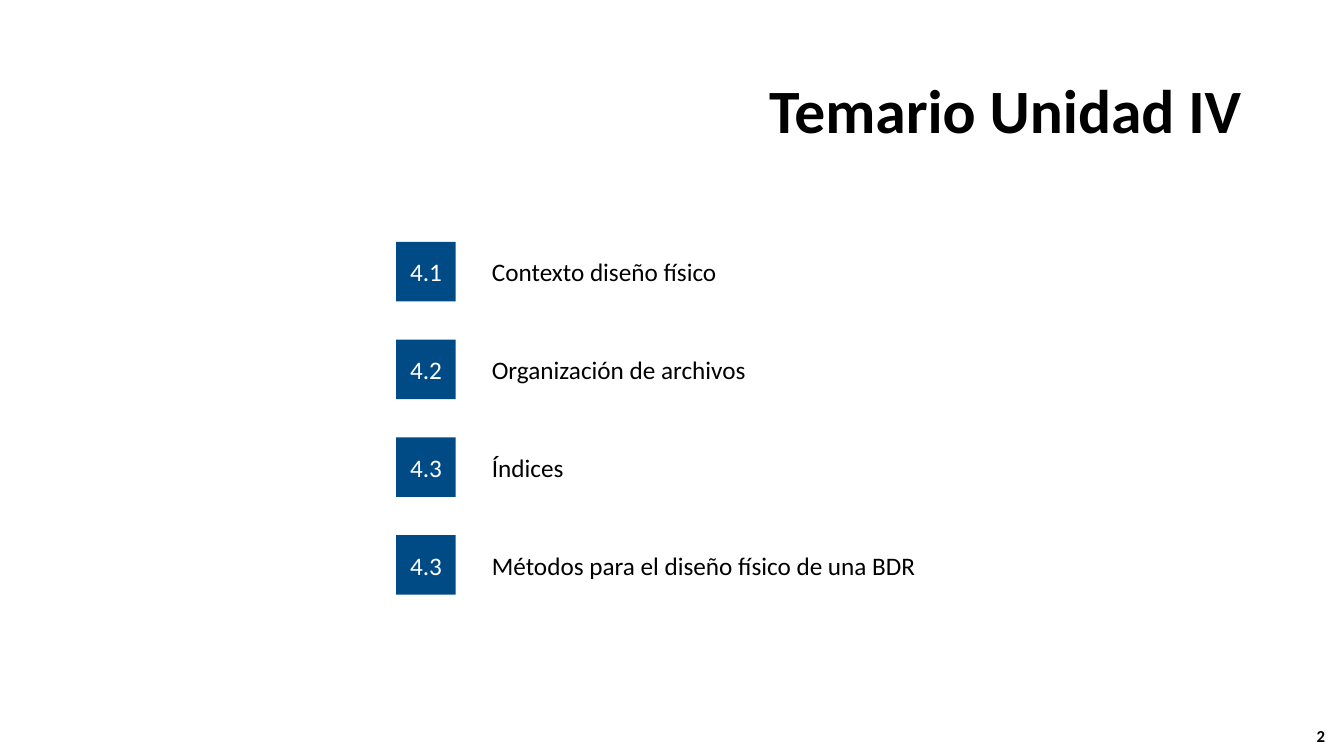
from pptx import Presentation
from pptx.dml.color import RGBColor
from pptx.enum.shapes import MSO_SHAPE as Shape
from pptx.enum.text import MSO_ANCHOR as Anchor, PP_ALIGN as Align
from pptx.util import Inches, Pt

COLORS = {"text": "000000", "tile": "004B85", "tile_text": "FFFFFF"}
TOPICS = [
    ("4.1", "Contexto diseño físico", 6.95),
    ("4.2", "Organización de archivos", 7.4),
    ("4.3", "Índices", 6.95),
    ("4.3", "Métodos para el diseño físico de una BDR", 6.95),
]
TILE_SIZE = 0.59
TOPIC_PITCH = 0.97
LABEL_OFFSET = 0.85


def write(part, text, size, color="text", bold=False, align=Align.LEFT):
    """Put one formatted, vertically centred paragraph into a shape."""
    frame = part.text_frame
    frame.word_wrap = True
    frame.vertical_anchor = Anchor.MIDDLE
    paragraph = frame.paragraphs[0]
    paragraph.alignment = align
    run = paragraph.add_run()
    run.text = text
    for name, value in {"name": "Calibri", "size": Pt(size), "bold": bold}.items():
        setattr(run.font, name, value)
    run.font.color.rgb = RGBColor.from_string(COLORS[color])
    return paragraph


def add_heading(slide, left, top, width, height, text):
    """Move and format the title placeholder."""
    heading = slide.shapes.title
    box = {"left": left, "top": top, "width": width, "height": height}
    for name, value in box.items():
        setattr(heading, name, Inches(value))
    write(heading, text, 44, bold=True, align=Align.RIGHT).line_spacing = 0.9


def add_topic(slide, left, top, number, topic, width):
    """Add a numbered tile with its topic beside it as one group."""
    group = slide.shapes.add_group_shape()
    tile = group.shapes.add_shape(
        Shape.RECTANGLE, Inches(left), Inches(top), Inches(TILE_SIZE), Inches(TILE_SIZE)
    )
    tile.shadow.inherit = False
    tile.fill.solid()
    tile.fill.fore_color.rgb = RGBColor.from_string(COLORS["tile"])
    tile.line.fill.background()
    write(tile, number, 18, "tile_text", align=Align.CENTER)
    label = group.shapes.add_textbox(
        Inches(left + LABEL_OFFSET), Inches(top), Inches(width), Inches(TILE_SIZE)
    )
    write(label, topic, 18)


def add_agenda(slide, left, top):
    """Stack the topics at an equal pitch."""
    for row, topic in enumerate(TOPICS):
        add_topic(slide, left, top + row * TOPIC_PITCH, *topic)


def add_page_number(slide, left, top, width, height, number):
    """Add the page number in the corner."""
    page = slide.shapes.add_textbox(*map(Inches, (left, top, width, height)))
    write(page, number, 12, bold=True, align=Align.CENTER)


def main():
    """Build and save the agenda slide."""
    deck = Presentation()
    deck.slide_width = Inches(13.33)
    deck.slide_height = Inches(7.5)
    slide = deck.slides.add_slide(deck.slide_layouts[5])
    add_heading(slide, 0.92, 0.4, 11.5, 1.45, "Temario Unidad IV")
    add_page_number(slide, 12.87, 7.1, 0.46, 0.4, "2")
    add_agenda(slide, 3.93, 2.4)
    deck.save("out.pptx")


if __name__ == "__main__":
    main()
